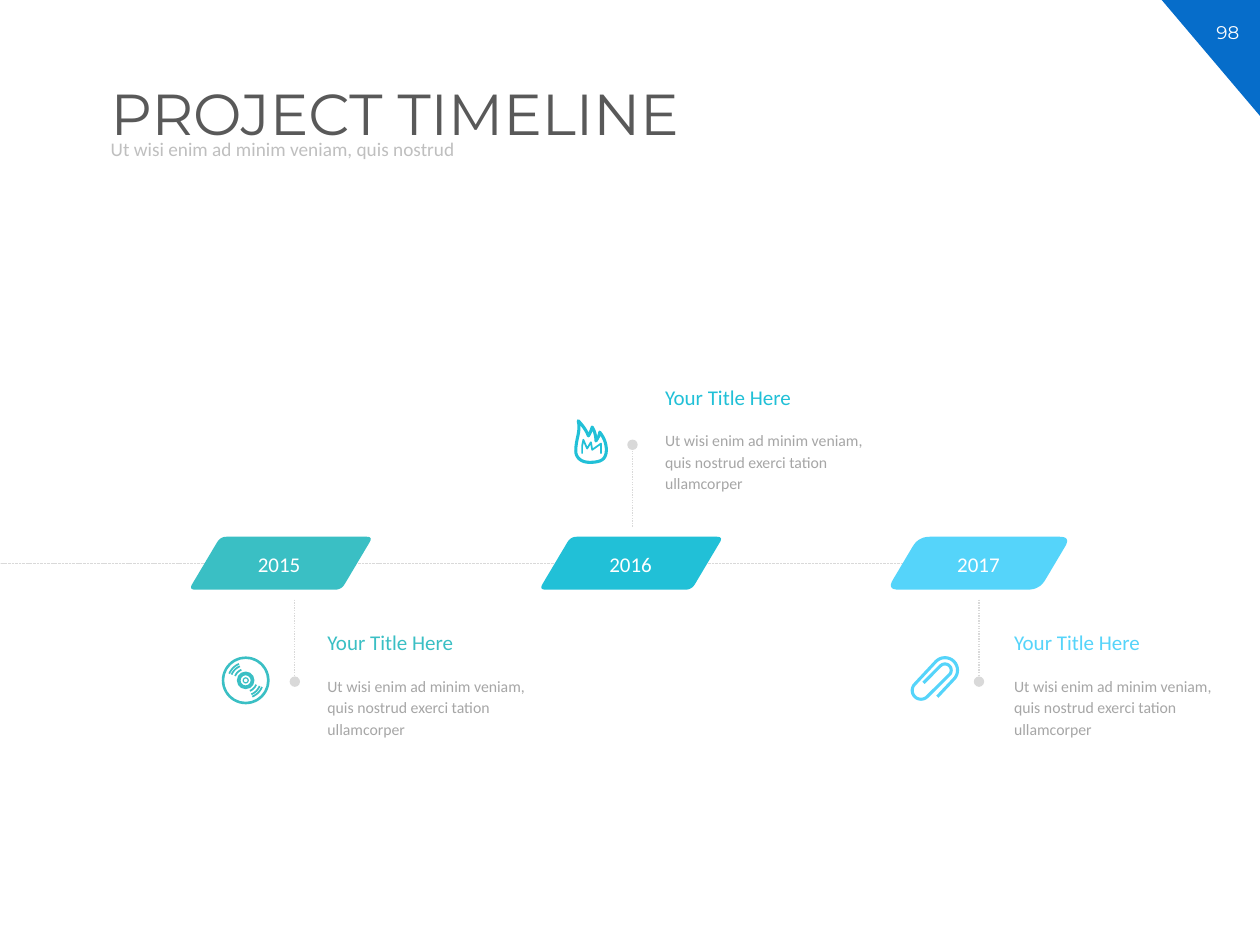
import math
from dataclasses import dataclass
from typing import Callable

import pptx
import pptx.dml.color
import pptx.enum.dml
import pptx.enum.shapes
import pptx.enum.text
import pptx.oxml
import pptx.oxml.ns
import pptx.util

Inches = pptx.util.Inches
Point = tuple[float, float]
MSO_SHAPE = pptx.enum.shapes.MSO_SHAPE
DASH = pptx.enum.dml.MSO_LINE
ALIGN = pptx.enum.text.PP_ALIGN
ANCHOR = pptx.enum.text.MSO_ANCHOR

COLORS = {
    "corner": "066DCA", "white": "FFFFFF", "title": "595959", "subtitle": "BFBFBF",
    "rule": "D9D9D9", "body": "A6A6A6", "teal": "3ABFC4", "cyan": "21C0D7", "sky": "55D4FA",
}
BODY_TEXT = "Ut wisi enim ad minim veniam, quis nostrud exerci tation ullamcorper"
BANNER_TOP, BANNER_BOTTOM, BANNER_SLANT = 4.26, 4.68, 0.25

presentation = pptx.Presentation()
presentation.slide_width, presentation.slide_height = Inches(10), Inches(7.5)
slide = presentation.slides.add_slide(presentation.slide_layouts[6])


def rgb(color: str) -> pptx.dml.color.RGBColor:
    return pptx.dml.color.RGBColor.from_string(COLORS[color])


def add_text(text: str, left: float, top: float, width: float, height: float, *, size: float,
             color: str, font: str = "Calibri", align: ALIGN = ALIGN.LEFT,
             anchor: ANCHOR = ANCHOR.TOP, wrap: bool = True, line_spacing: float = 1.0,
             space_before: float = 0) -> None:
    box = slide.shapes.add_textbox(Inches(left), Inches(top), Inches(width), Inches(height))
    frame = box.text_frame
    frame.word_wrap, frame.vertical_anchor = wrap, anchor
    paragraph = frame.paragraphs[0]
    paragraph.alignment, paragraph.line_spacing = align, line_spacing
    paragraph.space_before = pptx.util.Pt(space_before)
    run = paragraph.add_run()
    run.text = text
    run.font.name, run.font.size = font, pptx.util.Pt(size)
    run.font.color.rgb = rgb(color)


def add_preset(kind: MSO_SHAPE, left: float, top: float, width: float, height: float, color: str):
    shape = slide.shapes.add_shape(kind, Inches(left), Inches(top), Inches(width), Inches(height))
    shape.shadow.inherit = False
    shape.fill.solid()
    shape.fill.fore_color.rgb = rgb(color)
    shape.line.fill.background()
    return shape


def add_outline(points: list[Point], color: str, *, stroke: float = 0, closed: bool = False) -> None:
    """Draw a filled outline, or an unfilled stroked one when a stroke width is given."""
    vertices = [(Inches(x), Inches(y)) for x, y in points]
    builder = slide.shapes.build_freeform(*vertices[0], scale=1.0)
    builder.add_line_segments(vertices[1:], close=closed)
    shape = builder.convert_to_shape()
    shape.shadow.inherit = False
    if stroke:
        shape.fill.background()
        shape.line.width = pptx.util.Pt(stroke)
        shape.line.color.rgb = rgb(color)
    else:
        shape.fill.solid()
        shape.fill.fore_color.rgb = rgb(color)
        shape.line.fill.background()


def add_rule(start: Point, end: Point, width: float, dash: DASH, dot: bool = False) -> None:
    connector = slide.shapes.add_connector(
        pptx.enum.shapes.MSO_CONNECTOR.STRAIGHT, *map(Inches, start + end))
    connector.line.width = pptx.util.Pt(width)
    connector.line.color.rgb = rgb("rule")
    connector.line.dash_style = dash
    properties = connector.element.spPr
    if dot:
        tail = pptx.oxml.parse_xml(f'<a:tailEnd {pptx.oxml.ns.nsdecls("a")} type="oval"/>')
        properties.find(pptx.oxml.ns.qn("a:ln")).append(tail)
    properties.append(pptx.oxml.parse_xml(f'<a:effectLst {pptx.oxml.ns.nsdecls("a")}/>'))


def between(start: Point, end: Point, share: float) -> Point:
    return (start[0] + (end[0] - start[0]) * share, start[1] + (end[1] - start[1]) * share)


def bezier(controls: list[Point], steps: int = 8) -> list[Point]:
    """Sample a Bézier curve of any degree."""
    samples = []
    for step in range(steps + 1):
        level = controls
        while len(level) > 1:
            level = [between(a, b, step / steps) for a, b in zip(level, level[1:])]
        samples.append(level[0])
    return samples


def arc(center: Point, radius: float, first: float, last: float, steps: int = 16) -> list[Point]:
    """Sample a circular arc; degrees run clockwise from the right."""
    angles = [math.radians(first + (last - first) * step / steps) for step in range(steps + 1)]
    return [(center[0] + radius * math.cos(a), center[1] + radius * math.sin(a)) for a in angles]


def add_banner(left: float, width: float, rounding: float, color: str) -> None:
    corners = [(left, BANNER_BOTTOM), (left + BANNER_SLANT, BANNER_TOP),
               (left + width, BANNER_TOP), (left + width - BANNER_SLANT, BANNER_BOTTOM)]
    points = []
    for index, corner in enumerate(corners):
        neighbours = corners[index - 1], corners[(index + 1) % len(corners)]
        before, after = (between(corner, n, rounding / math.dist(corner, n)) for n in neighbours)
        points += bezier([before, corner, after])
    add_outline(points, color, closed=True)


def add_disc(color: str) -> None:
    center = (1.95, 5.4)
    for diameter, thickness in ((0.38, 0.02), (0.14, 0.03), (0.05, 0.01)):
        ring = add_preset(MSO_SHAPE.DONUT, center[0] - diameter / 2, center[1] - diameter / 2,
                          diameter, diameter, color)
        ring.adjustments[0] = thickness / diameter
    for radius in (0.09, 0.12, 0.14):
        for first in (22, 202):
            add_outline(arc(center, radius, first, first + 46), color, stroke=1)


def add_flame(color: str) -> None:
    start = (4.76, 3.43)
    curves = [
        [(4.76, 3.46), (4.73, 3.5), (4.73, 3.5)],
        [(4.73, 3.43), (4.7, 3.39), (4.7, 3.39)],
        [(4.7, 3.39), (4.69, 3.43), (4.67, 3.46)],
        [(4.65, 3.4), (4.59, 3.34), (4.59, 3.34)],
        [(4.61, 3.43), (4.57, 3.48), (4.57, 3.58)],
        [(4.57, 3.63), (4.61, 3.67), (4.68, 3.67)],
        [(4.78, 3.67), (4.8, 3.64), (4.81, 3.6)],
        [(4.82, 3.54), (4.8, 3.48), start],
    ]
    outline = [start]
    for curve in curves:
        outline += bezier([outline[-1], *curve])[1:]
    add_outline(outline[:-1], color, stroke=1.75, closed=True)
    add_outline([(4.62, 3.6), (4.62, 3.54), (4.63, 3.49), (4.66, 3.56), (4.69, 3.51),
                 (4.7, 3.57), (4.77, 3.52), (4.77, 3.6)], color, stroke=1)


def add_paperclip(color: str) -> None:
    upper, lower = (7.5, 5.32), (7.31, 5.48)
    wire = [(7.44, 5.53), *arc(upper, 0.1, 45, -135), *arc(lower, 0.07, -135, -315),
            *arc(upper, 0.05, 45, -135), (7.33, 5.42)]
    add_outline(wire, color, stroke=1.75)


@dataclass
class Milestone:
    year: str
    color: str
    banner_left: float
    banner_width: float
    rounding: float
    year_left: float
    stem: float
    stem_start: float
    stem_end: float
    text_left: float
    text_top: float
    add_icon: Callable[[str], None]


MILESTONES = [
    Milestone("2015", "teal", 1.5, 1.46, 0.05, 1.94, 2.34, 4.76, 5.41, 2.5, 4.95, add_disc),
    Milestone("2016", "cyan", 4.28, 1.46, 0.05, 4.73, 5.02, 4.18, 3.53, 5.18, 3, add_flame),
    Milestone("2017", "sky", 7.04, 1.46, 0.09, 7.49, 7.77, 4.76, 5.41, 7.95, 4.95, add_paperclip),
]


def add_milestone(item: Milestone) -> None:
    add_banner(item.banner_left, item.banner_width, item.rounding, item.color)
    add_text(item.year, item.year_left, 4.33, 0.55, 0.3, size=12, color="white",
             align=ALIGN.CENTER, wrap=False)
    add_rule((item.stem, item.stem_start), (item.stem, item.stem_end), 0.75,
             DASH.ROUND_DOT, dot=True)
    add_text("Your Title Here", item.text_left, item.text_top, 1.3, 0.3, size=12,
             color=item.color, wrap=False)
    add_text(BODY_TEXT, item.text_left, item.text_top + 0.35, 1.91, 0.62, size=9, color="body",
             line_spacing=1.14, space_before=10)
    item.add_icon(item.color)


add_preset(MSO_SHAPE.RIGHT_TRIANGLE, 9.22, 0, 0.78, 0.92, "corner").rotation = 180
add_text("98", 9.49, 0.12, 0.51, 0.28, size=10.5, color="white", font="Montserrat",
         align=ALIGN.CENTER)
add_text("PROJECT TIMELINE", 0.78, 0.63, 8.86, 0.73, size=33, color="title", font="Montserrat",
         line_spacing=0.9)
add_text("Ut wisi enim ad minim veniam, quis nostrud", 0.78, 1.06, 7.21, 0.26, size=11,
         color="subtitle", anchor=ANCHOR.MIDDLE, line_spacing=0.9, space_before=9)
add_rule((7.2, 4.47), (0, 4.47), 0.5, DASH.SQUARE_DOT)
for milestone in MILESTONES:
    add_milestone(milestone)
presentation.save("out.pptx")
